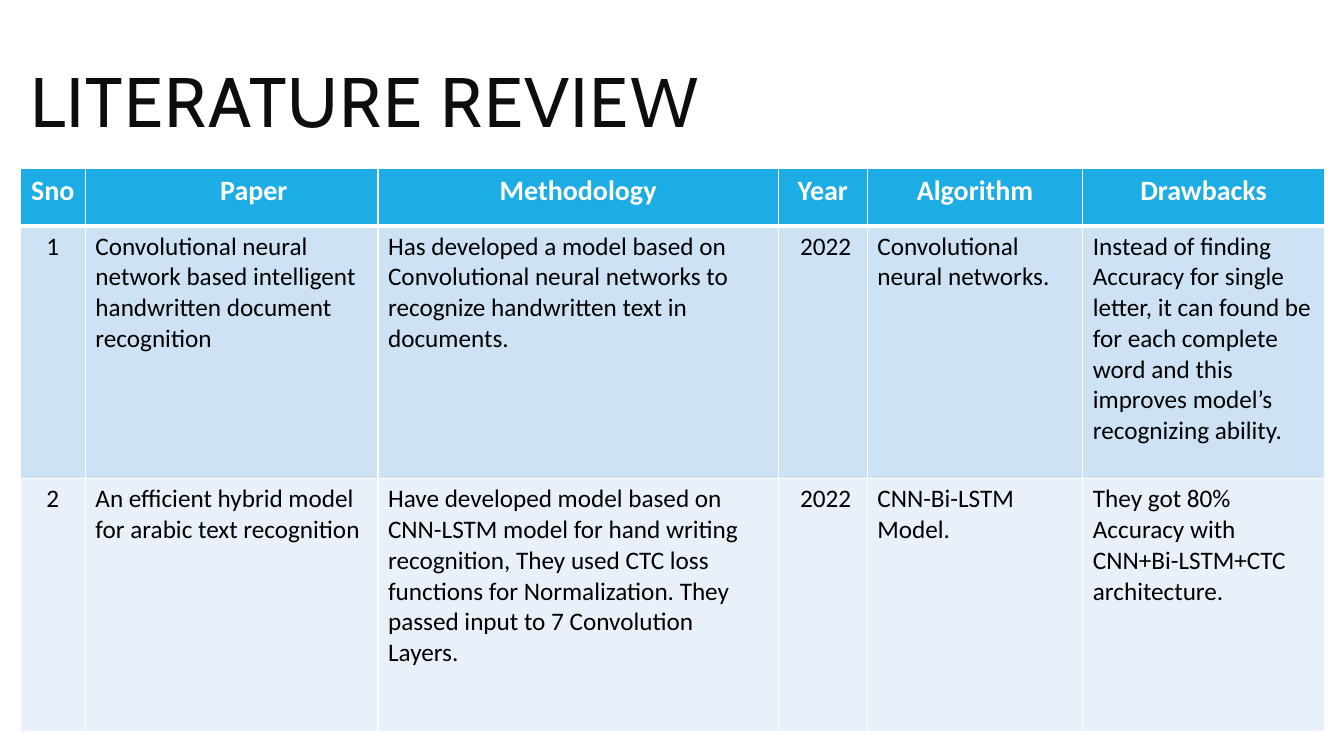
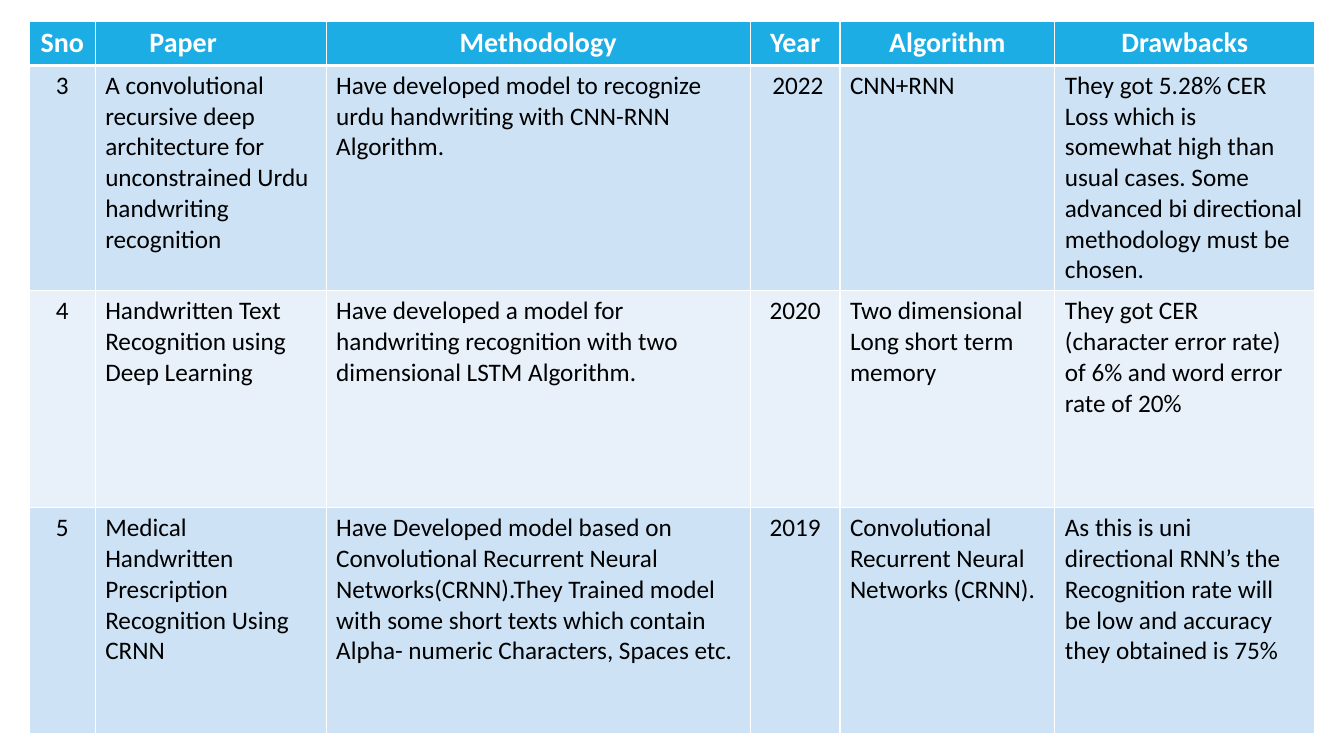
from lxml.etree import SubElement
from pptx import Presentation
from pptx.dml.color import RGBColor
from pptx.enum.text import MSO_ANCHOR, MSO_AUTO_SIZE, PP_ALIGN
from pptx.oxml.ns import qn
from pptx.util import Pt

COLORS = {
    "title": "0D0D0D",
    "header": "1CADE4",
    "odd_row": "CDE3F5",
    "even_row": "E8F1FA",
    "text": "000000",
    "white": "FFFFFF",
}
TITLE_FONT = "Cabin"
TABLE_FONT = "Calibri"
CELL_MARGIN = 7.2
PAPER_INDENT = 31.6
YEAR_INDENT = 4
HEADERS = ["Sno", "Paper", "Methodology", "Year", "Algorithm", "Drawbacks"]
PAPER_COLUMN, YEAR_COLUMN = HEADERS.index("Paper"), HEADERS.index("Year")
CENTERED_COLUMNS = {HEADERS.index("Sno"), YEAR_COLUMN}

FIRST_PAPERS = [
    ["1",
     "Convolutional neural network based intelligent handwritten document recognition",
     "Has developed a model based on Convolutional neural networks to recognize "
     "handwritten text in documents.",
     "2022",
     "Convolutional neural networks.",
     "Instead of finding Accuracy for single letter, it can found be for each "
     "complete word and this improves model’s recognizing ability."],
    ["2",
     "An efficient hybrid model for arabic text recognition",
     "Have developed model based on CNN-LSTM model for hand writing recognition, "
     "They used CTC loss functions for Normalization. They passed input to "
     "7 Convolution Layers.",
     "2022",
     "CNN-Bi-LSTM Model.",
     "They got 80% Accuracy with CNN+Bi-LSTM+CTC architecture."],
]
MORE_PAPERS = [
    ["3",
     "A convolutional recursive deep architecture for unconstrained Urdu "
     "handwriting recognition",
     "Have developed model to recognize urdu handwriting with CNN-RNN Algorithm.",
     "2022",
     "CNN+RNN",
     "They got 5.28% CER Loss which is somewhat high than usual cases. Some "
     "advanced bi directional methodology must be chosen."],
    ["4",
     "Handwritten Text Recognition using Deep Learning",
     "Have developed a model for handwriting recognition with two dimensional "
     "LSTM Algorithm.",
     "2020",
     "Two dimensional Long short term memory",
     "They got CER (character error rate) of 6% and word error rate of 20%"],
    ["5",
     "Medical Handwritten Prescription Recognition Using CRNN",
     "Have Developed model based on Convolutional Recurrent Neural "
     "Networks(CRNN).They Trained model with some short texts which contain "
     "Alpha- numeric Characters, Spaces etc.",
     "2019",
     "Convolutional Recurrent Neural Networks (CRNN).",
     "As this is uni directional RNN’s the Recognition rate will be low and "
     "accuracy they obtained is 75%"],
]


def color(name):
    return RGBColor.from_string(COLORS[name])


def set_borders(cell, top, bottom):
    properties = cell._tc.get_or_add_tcPr()
    for side, width in (("L", 1), ("R", 1), ("T", top), ("B", bottom)):
        line = SubElement(properties, qn(f"a:ln{side}"), w=str(Pt(width)))
        fill = SubElement(line, qn("a:solidFill"))
        SubElement(fill, qn("a:srgbClr"), val=COLORS["white"])


def fill_cell(cell, text, row, alignment, indent):
    is_header = row == 0
    set_borders(cell, top=3 if row == 1 else 1, bottom=3 if is_header else 1)
    cell.fill.solid()
    band = "odd_row" if row % 2 else "even_row"
    cell.fill.fore_color.rgb = color("header" if is_header else band)
    cell.margin_left = Pt(CELL_MARGIN + indent)
    cell.text = text
    paragraph = cell.text_frame.paragraphs[0]
    paragraph.alignment = alignment
    paragraph.font.name = TABLE_FONT
    paragraph.font.size = Pt(20 if is_header else 18)
    paragraph.font.bold = is_header
    paragraph.font.color.rgb = color("white" if is_header else "text")


def add_review_table(slide, left, top, widths, heights, papers,
                     paper_alignment=PP_ALIGN.CENTER):
    """Add a table of papers; paper_alignment applies to the Paper heading."""
    frame = slide.shapes.add_table(
        len(heights), len(widths), Pt(left), Pt(top), Pt(sum(widths)), Pt(sum(heights)))
    table = frame.table
    for column, width in zip(table.columns, widths):
        column.width = Pt(width)
    for table_row, height in zip(table.rows, heights):
        table_row.height = Pt(height)
    for row, texts in enumerate([HEADERS, *papers]):
        for column, text in enumerate(texts):
            centered = row == 0 or column in CENTERED_COLUMNS
            alignment = PP_ALIGN.CENTER if centered else PP_ALIGN.LEFT
            indent = 0
            if row == 0 and column == PAPER_COLUMN:
                alignment, indent = paper_alignment, PAPER_INDENT
            elif column == YEAR_COLUMN and text == "2022":
                indent = YEAR_INDENT
            fill_cell(table.cell(row, column), text, row, alignment, indent)


def set_title(slide, text, left, top, width, height):
    title = slide.shapes.title
    title.left, title.top, title.width, title.height = map(Pt, (left, top, width, height))
    title.text = text
    text_frame = title.text_frame
    text_frame.auto_size = MSO_AUTO_SIZE.NONE
    text_frame.vertical_anchor = MSO_ANCHOR.MIDDLE
    paragraph = text_frame.paragraphs[0]
    paragraph.alignment = PP_ALIGN.LEFT
    paragraph.line_spacing = 0.8
    paragraph.font.name = TITLE_FONT
    paragraph.font.size = Pt(50)
    paragraph.font.color.rgb = color("title")
    paragraph.runs[0]._r.get_or_add_rPr().set("spc", "100")


def build_title_slide(presentation):
    slide = presentation.slides.add_slide(presentation.slide_layouts.get_by_name("Title Only"))
    set_title(slide, "LITERATURE REVIEW", 14.5, 17.5, 765, 118)
    add_review_table(slide, 14.5, 120.5, [46.5, 209, 286, 63.5, 154, 172.5],
                     [41, 180.5, 180.5], FIRST_PAPERS)


def build_continuation_slide(presentation):
    slide = presentation.slides.add_slide(presentation.slide_layouts.get_by_name("Blank"))
    add_review_table(slide, 21, 15, [47, 165, 303, 64, 153.5, 185.5],
                     [31.5, 160, 155, 161], MORE_PAPERS, PP_ALIGN.LEFT)


def main():
    presentation = Presentation()
    presentation.slide_width, presentation.slide_height = Pt(960), Pt(540)
    build_title_slide(presentation)
    build_continuation_slide(presentation)
    presentation.save("out.pptx")


if __name__ == "__main__":
    main()
